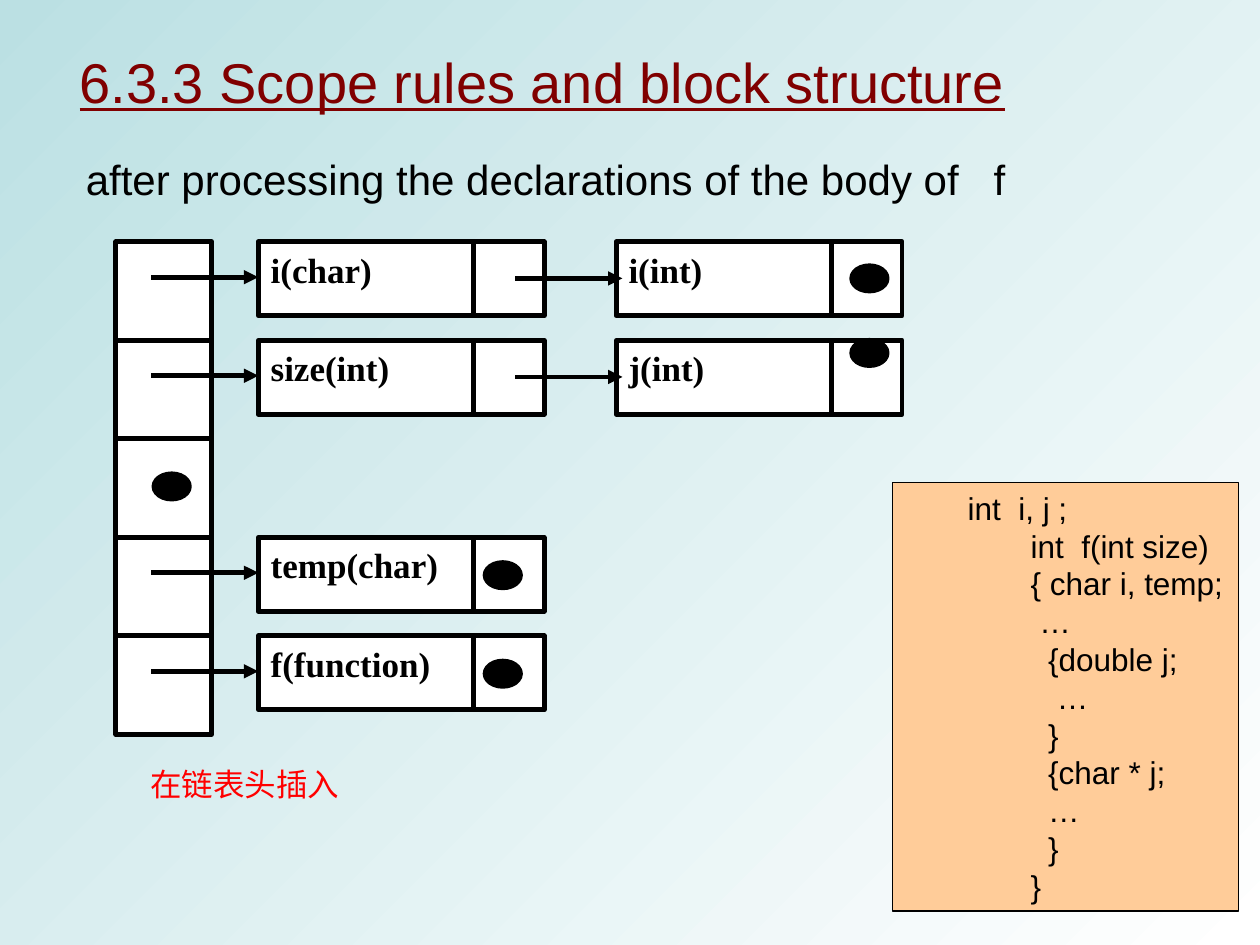
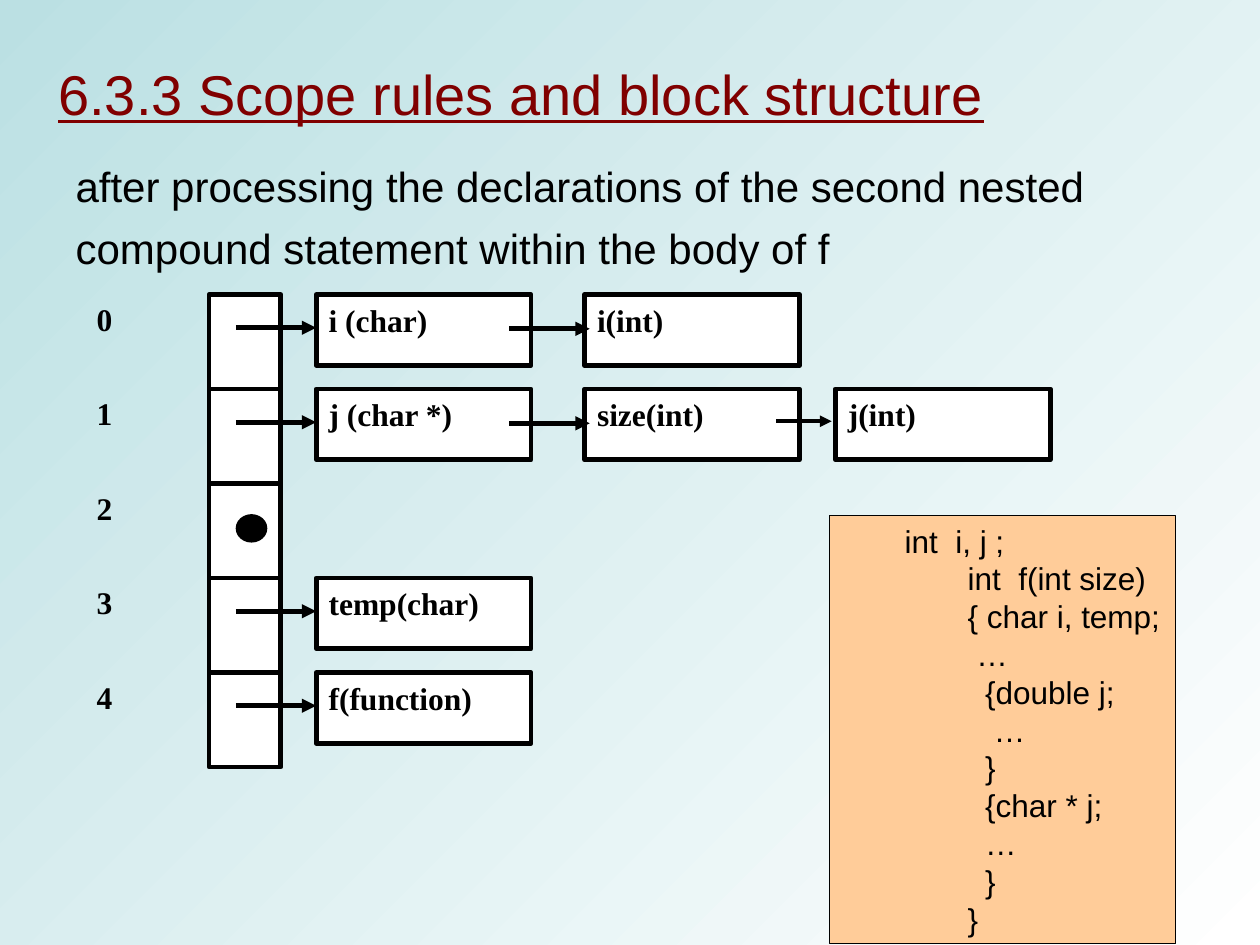
from dataclasses import dataclass

from pptx import Presentation
from pptx.dml.color import RGBColor
from pptx.enum.shapes import MSO_CONNECTOR, MSO_SHAPE
from pptx.enum.text import MSO_ANCHOR, MSO_AUTO_SIZE, PP_ALIGN
from pptx.oxml.ns import qn
from pptx.util import Pt
from lxml.etree import SubElement

BLACK, WHITE, MAROON, RED = "000000", "FFFFFF", "800000", "FF0000"
TEAL, PEACH = "BBE0E3", "FFCC99"
SANS, SERIF = "Arial", "Times New Roman"
HEAVY = 2.75
HEADING = "6.3.3 Scope rules and block structure"
SPACE = 5  # width of one space in 18 point Arial

# Left indent in points, then the line of code
CODE = [
    (36, "int  i, j ;"),
    (72, "int  f(int size)"),
    (72, "{ char i, temp;"),
    (72 + SPACE, "…"),
    (72 + 2 * SPACE, "{double j;"),
    (72 + 3 * SPACE, "…"),
    (72 + 2 * SPACE, "}"),
    (72 + 2 * SPACE, "{char * j;"),
    (72 + 2 * SPACE, "…"),
    (72 + 2 * SPACE, "}"),
    (72, "}"),
]


@dataclass
class HashTable:
    """Measures of a bucket column with its linked nodes, in points."""
    top: float
    pitch: float
    bucket_left: float
    bucket_width: float
    node_lefts: tuple
    node_width: float
    node_height: float
    size: int
    first_arrow: tuple  # start x, y within the row
    links: tuple        # start x, end x, y within the row, line width
    dot_size: tuple
    divider: float = 0  # from the left of a node; 0 for none


def colour(value):
    return RGBColor.from_string(value)


def add_span(para, text, size, font=SANS, ink=BLACK, bold=False, underline=False):
    span = para.add_run()
    span.text = text
    span.font.size = Pt(size)
    span.font.name = font
    span.font.bold = bold
    span.font.underline = underline
    span.font.color.rgb = colour(ink)


def add_box(page, kind, left, top, width, height, fill, line=HEAVY):
    box = page.shapes.add_shape(kind, Pt(left), Pt(top), Pt(width), Pt(height))
    box.shadow.inherit = False
    box.fill.solid()
    box.fill.fore_color.rgb = colour(fill)
    box.line.color.rgb = colour(BLACK)
    box.line.width = Pt(line)
    box.text_frame.vertical_anchor = MSO_ANCHOR.TOP
    return box


def add_label(page, left, top, width, height, text, size, wrap=True, **style):
    box = page.shapes.add_textbox(Pt(left), Pt(top), Pt(width), Pt(height))
    box.text_frame.word_wrap = wrap
    add_span(box.text_frame.paragraphs[0], text, size, **style)
    return box


def add_line(page, start, end, width=HEAVY, arrow=False):
    line = page.shapes.add_connector(
        MSO_CONNECTOR.STRAIGHT, *(Pt(value) for value in (*start, *end)))
    line.line.color.rgb = colour(BLACK)
    line.line.width = Pt(width)
    if arrow:
        SubElement(line.line._get_or_add_ln(), qn("a:tailEnd"), type="triangle")
    SubElement(line._element.spPr, qn("a:effectLst"))


def add_node(page, table, left, top, text):
    box = add_box(page, MSO_SHAPE.RECTANGLE, left, top,
                  table.node_width, table.node_height, WHITE)
    para = box.text_frame.paragraphs[0]
    para.alignment = PP_ALIGN.JUSTIFY
    add_span(para, text, table.size, SERIF, bold=True)
    if table.divider:
        x = left + table.divider
        add_line(page, (x, top), (x, top + table.node_height))


def add_hash_table(page, table, rows, dots):
    """Draw one bucket per row, its chain of nodes, and the null dots."""
    for index, names in enumerate(rows):
        top = table.top + index * table.pitch
        add_box(page, MSO_SHAPE.RECTANGLE, table.bucket_left, top,
                table.bucket_width, table.pitch, WHITE)
        for left, name in zip(table.node_lefts, names):
            add_node(page, table, left, top, name)
        if names:
            x, y = table.first_arrow
            add_line(page, (x, top + y), (table.node_lefts[0], top + y), arrow=True)
        for start, end, y, width in table.links[:max(len(names) - 1, 0)]:
            add_line(page, (start, top + y), (end, top + y), width, arrow=True)
    for row, x, y in dots:
        add_box(page, MSO_SHAPE.OVAL, x, table.top + row * table.pitch + y,
                *table.dot_size, BLACK)


def add_code(page, left, top):
    box = add_box(page, MSO_SHAPE.RECTANGLE, left, top, 198, 244.8, PEACH, 0.75)
    frame = box.text_frame
    for index, (indent, text) in enumerate(CODE):
        para = frame.add_paragraph() if index else frame.paragraphs[0]
        para.alignment = PP_ALIGN.LEFT
        para.line_spacing = Pt(21.6)
        para._p.get_or_add_pPr().set("marL", str(Pt(indent)))
        add_span(para, text, 18)


def add_page(deck, heading_at, title, title_at, spacing=1.0):
    """Add a page with the section heading and a title that states the step."""
    page = deck.slides.add_slide(deck.slide_layouts[5])
    box = page.shapes.title
    box.left, box.top, box.width, box.height = (Pt(value) for value in title_at)
    frame = box.text_frame
    frame.auto_size = MSO_AUTO_SIZE.NONE
    frame.vertical_anchor = MSO_ANCHOR.MIDDLE
    para = frame.paragraphs[0]
    para.alignment = PP_ALIGN.LEFT
    para.line_spacing = spacing
    add_span(para, title, 24)
    heading = add_label(page, *heading_at, 561, 46, HEADING, 32,
                        ink=MAROON, underline=True)
    heading.text_frame.margin_left = Pt(16)
    return page


def set_background(deck):
    fill = deck.slide_master.background.fill
    fill.gradient()
    fill.gradient_angle = 315
    for stop, value in zip(fill.gradient_stops, (TEAL, WHITE)):
        stop.color.rgb = colour(value)


def add_body_page(deck):
    page = add_page(deck, (29.5, 23.8),
                    "after processing the declarations of the body of   f",
                    (41.8, 77.8, 545.8, 48.2))
    table = HashTable(
        top=138.2, pitch=56.3, bucket_left=66.2, bucket_width=54.7,
        node_lefts=(147.6, 352.1), node_width=163.4, node_height=42.3, size=20,
        first_arrow=(86.4, 20.2), links=((294.5, 355.7, 20.9, HEAVY),),
        dot_size=(20.2, 14.4), divider=123.1)
    rows = [("i(char)", "i(int)"), ("size(int)", "j(int)"), (),
            ("temp(char)",), ("f(function)",)]
    dots = [(0, 486.7, 13.7), (1, 486.7, 0), (2, 88, 20),
            (3, 277.2, 14.4), (4, 277.2, 14.4)]
    add_hash_table(page, table, rows, dots)
    add_code(page, 509.8, 275.8)
    add_label(page, 78.8, 433.4, 122.4, 28.8, "在链表头插入", 18, wrap=False, ink=RED)


def add_nested_page(deck):
    page = add_page(deck, (17.3, 30.2),
                    "after processing the declarations of the second nested "
                    "compound statement within the body of f",
                    (36, 90, 660.2, 61.2), spacing=1.22)
    add_code(page, 473.8, 294.5)
    table = HashTable(
        top=168.3, pitch=54, bucket_left=119.5, bucket_width=41,
        node_lefts=(180.7, 334.1, 477.4), node_width=122.8, node_height=40.5, size=18,
        first_arrow=(134.8, 19), links=((290.9, 337, 19.6, HEAVY),
                                        (443.5, 475.2, 18.4, 2.25)),
        dot_size=(15.3, 13.5))
    rows = [("i (char)", "i(int)"), ("j (char *)", "size(int)", "j(int)"), (),
            ("temp(char)",), ("f(function)",)]
    add_hash_table(page, table, rows, [(2, 136.1, 18.9)])
    for index in range(len(rows)):
        add_label(page, 48.2, table.top + index * table.pitch - 0.5, 41, 40.5,
                  str(index), table.size, font=SERIF, bold=True)


def main():
    deck = Presentation()
    deck.slide_width, deck.slide_height = Pt(720), Pt(540)
    set_background(deck)
    add_body_page(deck)
    add_nested_page(deck)
    deck.save("out.pptx")


if __name__ == "__main__":
    main()
